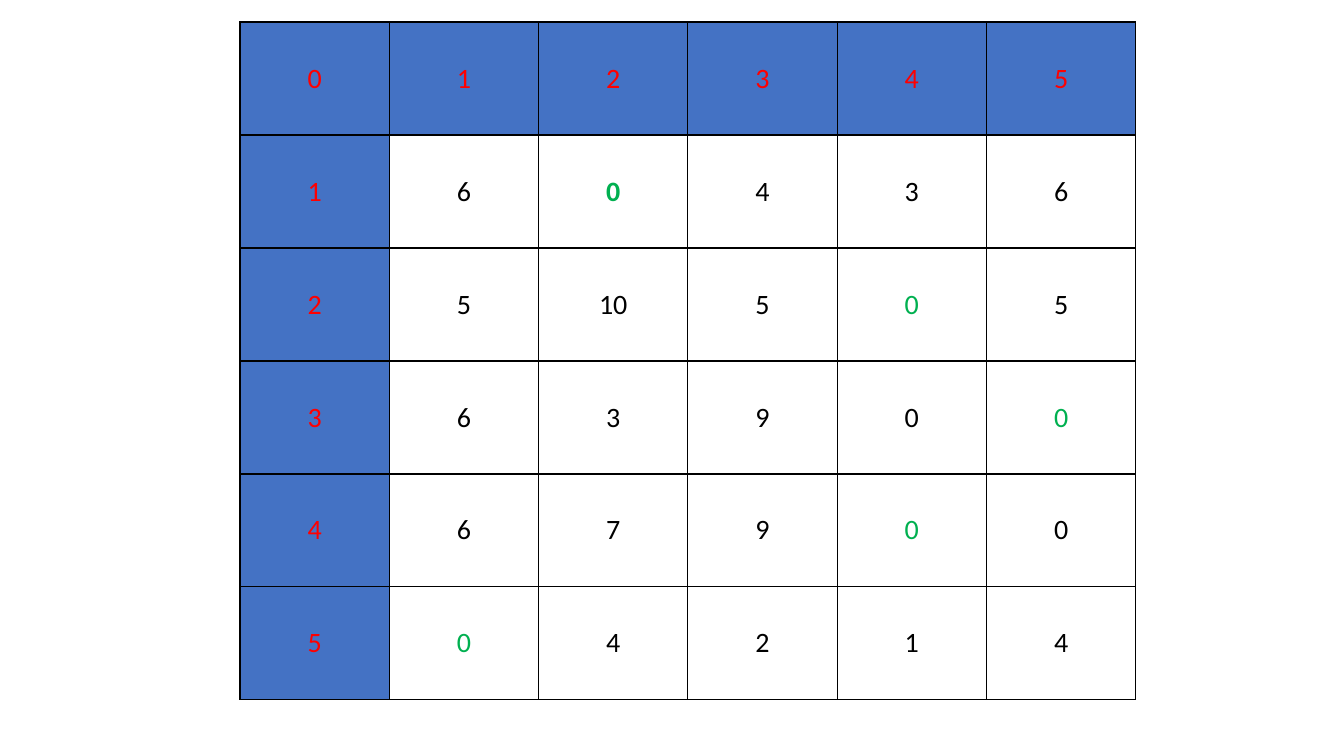
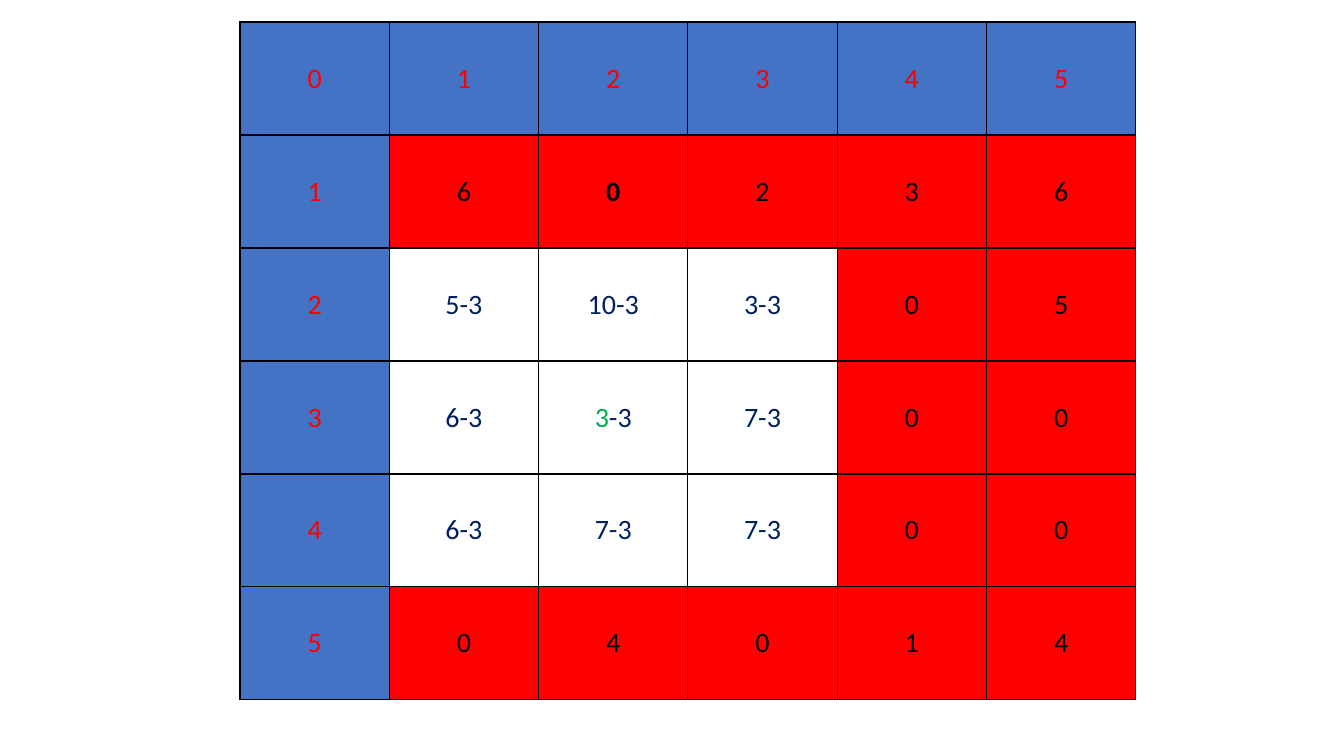
from dataclasses import dataclass
from typing import NamedTuple

from lxml.etree import SubElement
from pptx import Presentation
from pptx.dml.color import RGBColor
from pptx.enum.text import MSO_ANCHOR, PP_ALIGN
from pptx.oxml.ns import qn
from pptx.util import Emu, Pt

# Shared look
BLUE = RGBColor(0x44, 0x72, 0xC4)
RED = RGBColor(0xFF, 0x00, 0x00)
GREEN = RGBColor(0x00, 0xB0, 0x50)
NAVY = RGBColor(0x00, 0x20, 0x60)
BLACK = RGBColor(0x00, 0x00, 0x00)
WHITE = RGBColor(0xFF, 0xFF, 0xFF)
FONT = "Calibri"
FONT_SIZE = Pt(20)
BORDER = Pt(1)

# Lengths in pixels
SLIDE_W, SLIDE_H = 1344, 756
LEFT, TOP = 240, 22
TABLE_W, ROW_H = 896, 113


class Run(NamedTuple):
    text: str
    color: RGBColor
    bold: bool = False


@dataclass(frozen=True)
class CostMatrix:
    """Values below and right of the headers, with their marked cells."""
    values: tuple[str, ...]
    color: RGBColor = BLACK
    green: frozenset[tuple[int, int]] = frozenset()
    covered_rows: frozenset[int] = frozenset()
    covered_cols: frozenset[int] = frozenset()

    def covers(self, row: int, col: int) -> bool:
        return row in self.covered_rows or col in self.covered_cols


BOLD_CELL = (1, 2)

MATRICES = (
    CostMatrix(
        values=("6 0 4 3 6", "5 10 5 0 5", "6 3 9 0 0", "6 7 9 0 0", "0 4 2 1 4"),
        green=frozenset({(1, 2), (2, 4), (3, 5), (4, 4), (5, 1)}),
    ),
    CostMatrix(
        values=("6 0 2 3 6", "5-3 10-3 3-3 0 5", "6-3 3-3 7-3 0 0",
                "6-3 7-3 7-3 0 0", "0 4 0 1 4"),
        color=NAVY,
        green=frozenset({(3, 2)}),
        covered_rows=frozenset({1, 5}),
        covered_cols=frozenset({4, 5}),
    ),
)


def px(pixels: float) -> Emu:
    return Emu(round(pixels * 914400 / 100.8))


def set_borders(cell) -> None:
    tc_pr = cell._tc.get_or_add_tcPr()
    for side in ("a:lnL", "a:lnR", "a:lnT", "a:lnB"):
        ln = SubElement(tc_pr, qn(side), w=str(BORDER))
        fill = SubElement(ln, qn("a:solidFill"))
        SubElement(fill, qn("a:srgbClr"), val=str(BLACK))


def write_cell(cell, fill: RGBColor, runs: list[Run]) -> None:
    set_borders(cell)
    cell.fill.solid()
    cell.fill.fore_color.rgb = fill
    cell.vertical_anchor = MSO_ANCHOR.MIDDLE
    p = cell.text_frame.paragraphs[0]
    p.alignment = PP_ALIGN.CENTER
    for run in runs:
        r = p.add_run()
        r.text = run.text
        r.font.name = FONT
        r.font.size = FONT_SIZE
        r.font.bold = run.bold
        r.font.color.rgb = run.color


def value_runs(matrix: CostMatrix, row: int, col: int, text: str) -> list[Run]:
    bold = (row, col) == BOLD_CELL
    color = BLACK if matrix.covers(row, col) else matrix.color
    if (row, col) not in matrix.green:
        return [Run(text, color, bold)]
    # Only the number before the minus sign is green
    number, minus, rest = text.partition("-")
    runs = [Run(number, GREEN, bold)]
    if minus:
        runs.append(Run(minus + rest, color, bold))
    return runs


def add_matrix(slide, matrix: CostMatrix) -> None:
    n = len(matrix.values) + 1
    table = slide.shapes.add_table(
        n, n, px(LEFT), px(TOP), px(TABLE_W), px(n * ROW_H)).table
    table.first_row = table.horz_banding = False
    for column in table.columns:
        column.width = px(TABLE_W / n)
    for row in table.rows:
        row.height = px(ROW_H)

    # Header row and column
    for i in range(n):
        write_cell(table.cell(0, i), BLUE, [Run(str(i), RED)])
        if i:
            write_cell(table.cell(i, 0), BLUE, [Run(str(i), RED)])

    # Values
    for row, line in enumerate(matrix.values, 1):
        for col, text in enumerate(line.split(), 1):
            fill = RED if matrix.covers(row, col) else WHITE
            write_cell(table.cell(row, col), fill,
                       value_runs(matrix, row, col, text))


def main() -> None:
    prs = Presentation()
    prs.slide_width, prs.slide_height = px(SLIDE_W), px(SLIDE_H)
    blank = prs.slide_layouts[6]
    for matrix in MATRICES:
        add_matrix(prs.slides.add_slide(blank), matrix)
    prs.save("out.pptx")


main()
